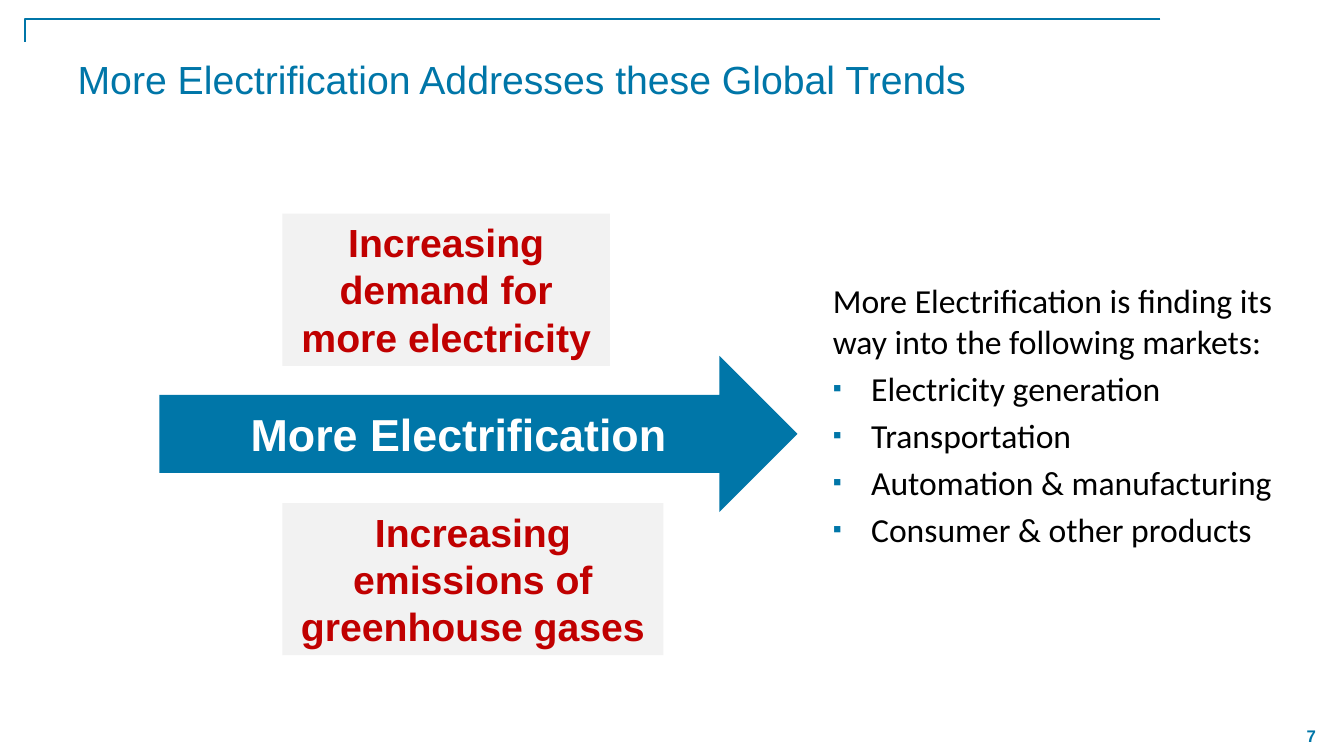
from lxml import etree
from pptx import Presentation
from pptx.dml.color import RGBColor
from pptx.enum import shapes, text
from pptx.oxml import ns
from pptx.util import Inches, Pt

BLUE, RED, GRAY, WHITE, BLACK = "0076A8", "C00000", "F2F2F2", "FFFFFF", "000000"
MARKETS = ["Electricity generation", "Transportation",
           "Automation & manufacturing", "Consumer & other products"]


def color(value):
    return RGBColor.from_string(value)


def place(shape, left, top, width, height):
    shape.left, shape.top = Inches(left), Inches(top)
    shape.width, shape.height = Inches(width), Inches(height)


def add_bullet(para, indent=0.38):
    """Give the paragraph a small blue square and a hanging indent."""
    props = para._p.get_or_add_pPr()
    props.set("marL", str(Inches(indent)))
    props.set("indent", str(-Inches(indent)))
    tint = etree.SubElement(props, ns.qn("a:buClr"))
    etree.SubElement(tint, ns.qn("a:srgbClr"), val=BLUE)
    etree.SubElement(props, ns.qn("a:buSzPct"), val="75000")
    etree.SubElement(props, ns.qn("a:buFont"), typeface="Arial")
    etree.SubElement(props, ns.qn("a:buChar"), char="▪")


def remove_bullet(para):
    props = para._p.get_or_add_pPr()
    props.set("marL", "0")
    props.set("indent", "0")
    etree.SubElement(props, ns.qn("a:buNone"))


def write(para, words, size, tint, font="Arial", bold=False,
          align=text.PP_ALIGN.LEFT, before=0):
    para.alignment = align
    para.space_before = Pt(before)
    span = para.add_run()
    span.text = words
    span.font.name, span.font.size, span.font.bold = font, Pt(size), bold
    span.font.color.rgb = color(tint)


def set_frame(shape, anchor=text.MSO_ANCHOR.TOP, fit=text.MSO_AUTO_SIZE.NONE):
    frame = shape.text_frame
    frame.word_wrap = True
    frame.auto_size = fit
    frame.vertical_anchor = anchor
    return frame


def add_label(page, preset, bounds, words, fill, size, tint, **frame_format):
    shape = page.shapes.add_shape(preset, *map(Inches, bounds))
    shape.shadow.inherit = False
    shape.fill.solid()
    shape.fill.fore_color.rgb = color(fill)
    shape.line.fill.background()
    frame = set_frame(shape, **frame_format)
    write(frame.paragraphs[0], words, size, tint, bold=True,
          align=text.PP_ALIGN.CENTER)


def add_corner_line(page):
    builder = page.shapes.build_freeform(Inches(11.51), Inches(0.19))
    corner = [(Inches(0.25), Inches(0.19)), (Inches(0.25), Inches(0.42))]
    builder.add_line_segments(corner, close=False)
    line = builder.convert_to_shape()
    line.shadow.inherit = False
    line.fill.background()
    line.line.color.rgb = color(BLUE)
    line.line.width = Pt(1)


def add_page_number(page, number):
    box = page.shapes.add_textbox(*map(Inches, (12.67, 7.09, 0.67, 0.42)))
    frame = set_frame(box, anchor=text.MSO_ANCHOR.MIDDLE)
    write(frame.paragraphs[0], number, 12, BLUE, bold=True,
          align=text.PP_ALIGN.CENTER)


def fill_title(page, words):
    title = page.shapes.title
    place(title, 0.67, 0.5, 11.78, 1.08)
    write(set_frame(title).paragraphs[0], words, 28, BLUE)


def fill_markets(page, intro, markets):
    body = page.placeholders[1]
    place(body, 8.16, 2.73, 4.75, 3.35)
    frame = set_frame(body)
    remove_bullet(frame.paragraphs[0])
    write(frame.paragraphs[0], intro, 24, BLACK, font="Calibri")
    for market in markets:
        para = frame.add_paragraph()
        add_bullet(para)
        write(para, market, 24, BLACK, font="Calibri", before=4.8)


def main():
    deck = Presentation()
    deck.slide_width, deck.slide_height = Inches(13.33), Inches(7.5)
    page = deck.slides.add_slide(deck.slide_layouts[1])
    add_page_number(page, "7")
    add_corner_line(page)
    fill_title(page, "More Electrification Addresses these Global Trends")
    fill_markets(page, "More Electrification is finding its way into the "
                       "following markets:", MARKETS)
    add_label(page, shapes.MSO_SHAPE.RIGHT_ARROW, (1.58, 3.53, 6.33, 1.55),
              "More Electrification", BLUE, 32, WHITE,
              anchor=text.MSO_ANCHOR.MIDDLE)
    trends = [("Increasing demand for more electricity", 2.12, 3.25),
              ("Increasing emissions of greenhouse gases", 4.99, 3.78)]
    for words, top, width in trends:
        add_label(page, shapes.MSO_SHAPE.RECTANGLE, (2.8, top, width, 1.51),
                  words, GRAY, 28, RED,
                  fit=text.MSO_AUTO_SIZE.SHAPE_TO_FIT_TEXT)
    deck.save("out.pptx")


if __name__ == "__main__":
    main()
